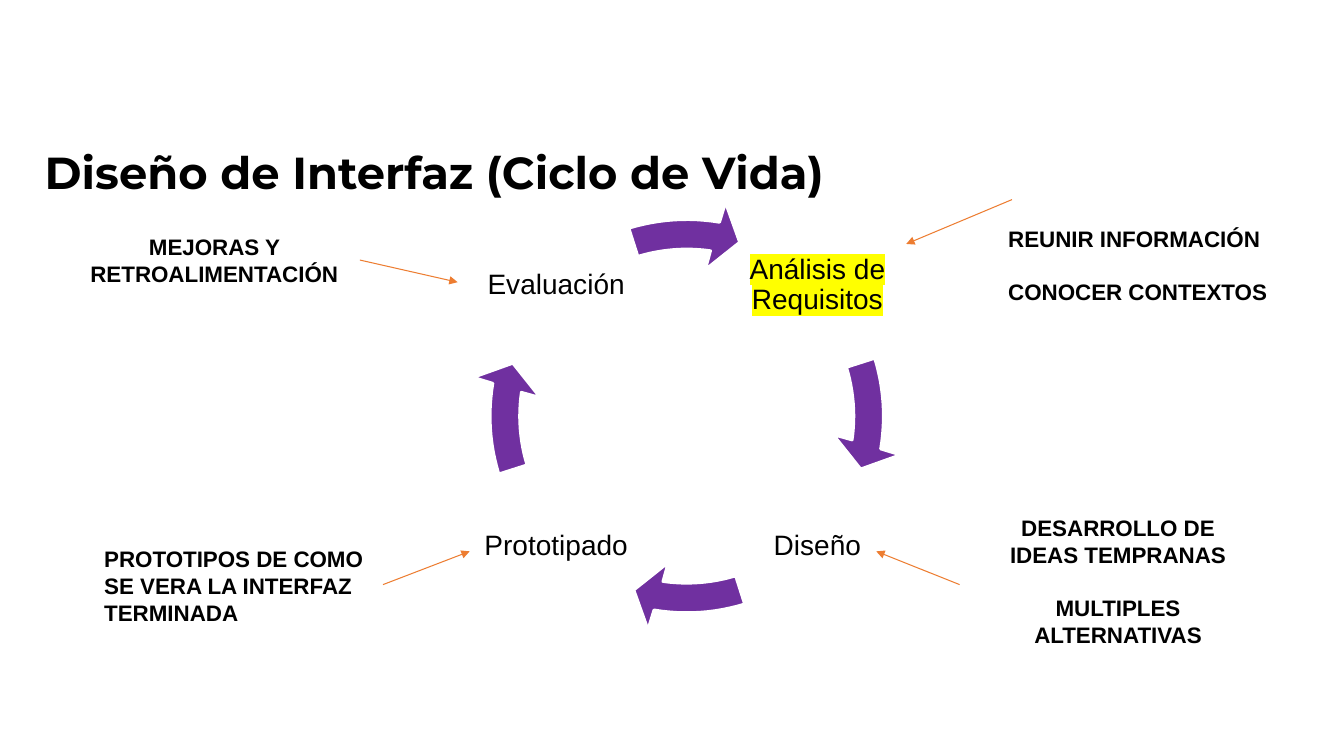
import math
from lxml import etree
from pptx import Presentation, util as u
from pptx.dml.color import RGBColor
from pptx.enum import shapes, text
from pptx.oxml.ns import qn

COLORS = {"text": "000000", "cycle": "7030A0", "edge": "FFFFFF",
          "pointer": "ED7D31", "mark": "FFFF00"}

prs = Presentation()
prs.slide_width, prs.slide_height = u.Inches(13.33), u.Inches(7.5)
W, H = prs.slide_width, prs.slide_height
col, row = W / 100, H / 100
s = prs.slides.add_slide(prs.slide_layouts[5])


def place(sp, x, y, w, h, inset_x, inset_y, anchor):
    sp.left, sp.top, sp.width, sp.height = (int(v) for v in (x, y, w, h))
    tf = sp.text_frame
    tf.word_wrap = True
    tf.auto_size = text.MSO_AUTO_SIZE.NONE
    tf.vertical_anchor = anchor
    tf.margin_left = tf.margin_right = u.Inches(inset_x)
    tf.margin_top = tf.margin_bottom = u.Inches(inset_y)
    return tf


def write(p, words, size, align, bold=False, font="Arial"):
    p.alignment = align
    r = p.add_run()
    r.text = words
    r.font.size, r.font.bold, r.font.name = u.Pt(size), bold, font
    r.font.color.rgb = RGBColor.from_string(COLORS["text"])
    return r


LEFT, CENTER = text.PP_ALIGN.LEFT, text.PP_ALIGN.CENTER
TOP, MIDDLE = text.MSO_ANCHOR.TOP, text.MSO_ANCHOR.MIDDLE

tf = place(s.shapes.title, 2.35 * col, 18.27 * row, 82.4 * col, 8.9 * row, 0.13, 0.07, TOP)
write(tf.paragraphs[0], "Diseño de Interfaz (Ciclo de Vida)", 32, LEFT, True, "Montserrat")

cx, cy = 51.1 * col, 55.05 * row
ring = int(57.47 * row)
ring_left, ring_top = int(cx - ring / 2), int(cy - ring / 2)
steps = 12
outer = [(26, -17.1 + 26.7 * i / steps) for i in range(steps + 1)]
head = [(28.67, 10.3), (24.04, 16.9), (19.56, 7.25)]
inner = [(22.1, 8.2 - 25.2 * i / steps) for i in range(steps + 1)]
side, offset = 20.27 * row, 17.27 * row
stages = [("Análisis de Requisitos", 1, -1), ("Diseño", 1, 1),
          ("Prototipado", -1, 1), ("Evaluación", -1, -1)]

for turn, (stage, dx, dy) in enumerate(stages):
    sp = s.shapes.add_textbox(0, 0, 0, 0)
    tf = place(sp, cx + dx * offset - side / 2, cy + dy * offset - side / 2,
               side, side, 0.03, 0.03, MIDDLE)
    p = tf.paragraphs[0]
    p.line_spacing = 0.9
    r = write(p, stage, 20, CENTER)
    if turn == 0:
        mark = etree.Element(qn("a:highlight"))
        etree.SubElement(mark, qn("a:srgbClr")).set("val", COLORS["mark"])
        r.font._element.find(qn("a:solidFill")).addnext(mark)

    points = []
    for radius, degrees in outer + head + inner:
        angle = math.radians(degrees + 90 * turn)
        points.append((cx + radius * row * math.cos(angle),
                       cy + radius * row * math.sin(angle)))
    fb = s.shapes.build_freeform(*points[0])
    fb.add_line_segments(points[1:], close=True)
    sp = fb.convert_to_shape()
    for pt in sp._element.iter(qn("a:pt")):
        pt.set("x", str(int(pt.get("x")) + sp.left - ring_left))
        pt.set("y", str(int(pt.get("y")) + sp.top - ring_top))
    for outline in sp._element.iter(qn("a:path")):
        outline.set("w", str(ring))
        outline.set("h", str(ring))
    sp.left, sp.top, sp.width, sp.height = ring_left, ring_top, ring, ring
    sp.shadow.inherit = False
    sp.fill.solid()
    sp.fill.fore_color.rgb = RGBColor.from_string(COLORS["cycle"])
    sp.line.color.rgb = RGBColor.from_string(COLORS["edge"])
    sp.line.width = u.Pt(2)

pointers = [(75.3, 26.4, 67.43, 32.27), (71.4, 77.33, 65.2, 72.93),
            (26.78, 34.4, 34.05, 37.33), (28.5, 77.33, 34.95, 72.93)]
for x1, y1, x2, y2 in pointers:
    cn = s.shapes.add_connector(shapes.MSO_CONNECTOR.STRAIGHT, int(x1 * col),
                                int(y1 * row), int(x2 * col), int(y2 * row))
    cn.line.color.rgb = RGBColor.from_string(COLORS["pointer"])
    cn.line.width = u.Pt(0.75)
    etree.SubElement(cn.line._get_or_add_ln(), qn("a:tailEnd")).set("type", "triangle")
    etree.SubElement(cn._element.spPr, qn("a:effectLst"))

notes = [
    (72.46, 67.1, 19.7, CENTER, ["DESARROLLO DE IDEAS TEMPRANAS", "MULTIPLES ALTERNATIVAS"]),
    (6.78, 71.2, 12.5, LEFT, ["PROTOTIPOS DE COMO SE VERA LA INTERFAZ TERMINADA"]),
    (5.22, 29.92, 8.9, CENTER, ["MEJORAS Y RETROALIMENTACIÓN"]),
    (74.04, 28.8, 12.5, LEFT, ["REUNIR INFORMACIÓN", "CONOCER CONTEXTOS"]),
]
for x, y, h, align, lines in notes:
    sp = s.shapes.add_textbox(0, 0, 0, 0)
    tf = place(sp, x * col, y * row, 21.46 * col, h * row, 0.13, 0.07, TOP)
    for i, line in enumerate(lines):
        p = tf.add_paragraph() if i else tf.paragraphs[0]
        if i:
            p.space_before = u.Pt(18.6)
        write(p, line, 16, align, True)

prs.save("out.pptx")
